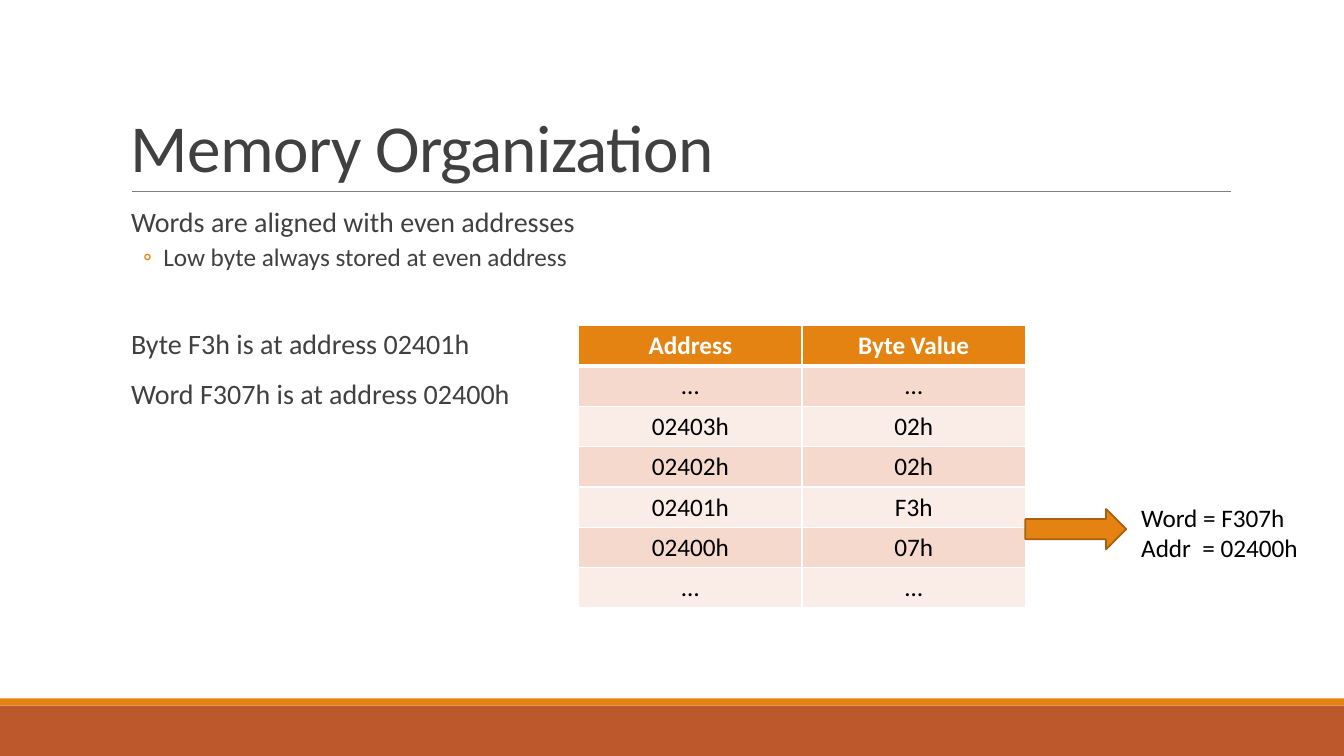
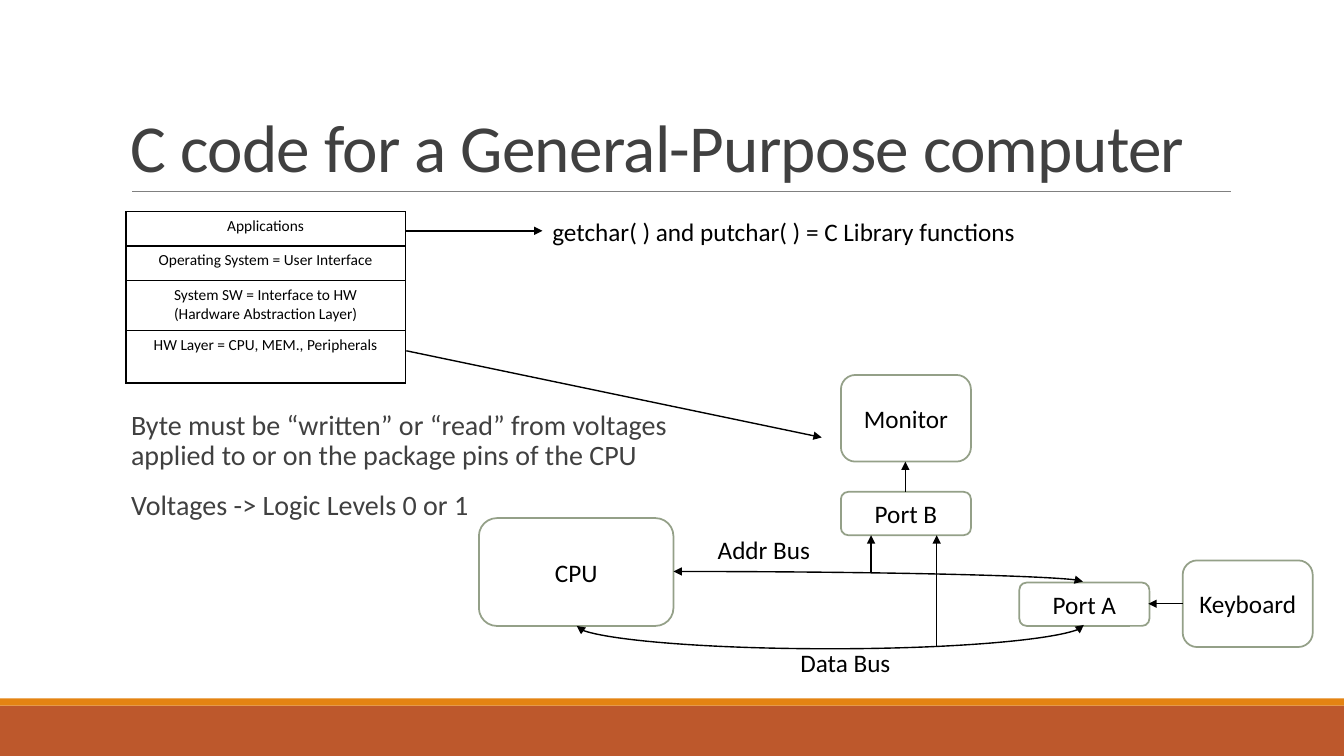
from dataclasses import dataclass
from typing import Optional

from lxml.etree import SubElement
from pptx import Presentation
from pptx.dml.color import RGBColor
from pptx.enum.shapes import MSO_CONNECTOR, MSO_SHAPE
from pptx.enum.text import MSO_ANCHOR, MSO_AUTO_SIZE, PP_ALIGN
from pptx.oxml.ns import qn
from pptx.util import Inches, Pt

FONT = "Calibri"
WHITE, BLACK, GREY, RULE = "FFFFFF", "000000", "404040", "808080"
ORANGE, RUST, ARROW_EDGE, SAGE = "E48312", "BD582C", "A9610D", "94A088"
STRIPES = ("F5D9CC", "FAEDE7")
TOP, LEFT, BOTTOM, RIGHT = range(4)


@dataclass
class Style:
    """Look of a run of text."""
    size: float = 18
    color: str = BLACK
    bold: bool = False
    spacing: int = 0


@dataclass
class BodyLine:
    """One paragraph of body text."""
    text: str
    before: float = 12
    bulleted: bool = False


@dataclass
class Label:
    """A free-standing note; each line is a paragraph."""
    text: str
    left: float
    top: float
    width: float
    height: float = 0.4


@dataclass
class Device:
    """A rounded box of the block diagram."""
    name: str
    left: float
    top: float
    width: float
    height: float


@dataclass
class Curve:
    """A curved bus between two devices, given by its unrotated frame."""
    start: str
    start_site: int
    end: str
    end_site: int
    frame: tuple
    rotation: int
    preset: str
    flipped: bool = False
    bend: Optional[int] = None


def color(value: str) -> RGBColor:
    """Turn a hex string into a colour."""
    return RGBColor.from_string(value)


def add_run(para, text: str, style: Style) -> None:
    """Add one styled run to a paragraph."""
    span = para.add_run()
    span.text = text
    span.font.name, span.font.size = FONT, Pt(style.size)
    span.font.bold = style.bold
    span.font.color.rgb = color(style.color)
    if style.spacing:
        span.font._element.set("spc", str(style.spacing))


def fill_lines(frame, text: str, style: Style, align=PP_ALIGN.LEFT) -> None:
    """Write each line of a text as a paragraph."""
    for index, line in enumerate(text.split("\n")):
        para = frame.add_paragraph() if index else frame.paragraphs[0]
        para.alignment = align
        add_run(para, line, style)


def add_box(page, preset, area: tuple, fill: str, edge: Optional[str] = None):
    """Add a flat preset shape."""
    box = page.shapes.add_shape(preset, *map(Inches, area))
    box.shadow.inherit = False
    box.fill.solid()
    box.fill.fore_color.rgb = color(fill)
    if edge:
        box.line.color.rgb = color(edge)
        box.line.width = Pt(1.25)
    else:
        box.line.fill.background()
    return box


def add_line(page, start: tuple, end: tuple, ink: str = BLACK, width: float = 1,
             heads: tuple = ("tailEnd",), kind=MSO_CONNECTOR.STRAIGHT):
    """Add a connector with arrowheads at the named ends."""
    line = page.shapes.add_connector(kind, *map(Inches, start + end))
    line.line.color.rgb = color(ink)
    line.line.width = Pt(width)
    for head in heads:
        SubElement(line.line._get_or_add_ln(), qn(f"a:{head}"), type="triangle")
    SubElement(line._element.spPr, qn("a:effectLst"))
    return line


def add_curve(page, curve: Curve, boxes: dict) -> None:
    """Join two devices with a curved two-headed arrow."""
    line = add_line(page, (0, 0), (1, 1), heads=("headEnd", "tailEnd"), kind=MSO_CONNECTOR.CURVE)
    line.begin_connect(boxes[curve.start], curve.start_site)
    line.end_connect(boxes[curve.end], curve.end_site)
    line.left, line.top, line.width, line.height = map(Inches, curve.frame)
    frame = line._element.spPr.find(qn("a:xfrm"))
    frame.attrib.clear()
    frame.set("rot", str(curve.rotation * 60000))
    if curve.flipped:
        frame.set("flipV", "1")
    geometry = line._element.spPr.find(qn("a:prstGeom"))
    geometry.set("prst", curve.preset)
    if curve.bend is not None:
        guides = geometry.find(qn("a:avLst"))
        if guides is None:
            guides = SubElement(geometry, qn("a:avLst"))
        SubElement(guides, qn("a:gd"), name="adj1", fmla=f"val {curve.bend}")


def add_label(page, label: Label) -> None:
    """Add an unwrapped note."""
    box = page.shapes.add_textbox(*map(Inches, (label.left, label.top, label.width, label.height)))
    box.text_frame.word_wrap = False
    box.text_frame.auto_size = MSO_AUTO_SIZE.SHAPE_TO_FIT_TEXT
    fill_lines(box.text_frame, label.text, Style())


def add_body(page, top: float, height: float, lines: list) -> None:
    """Add body text with optional bullets."""
    frame = page.shapes.add_textbox(*map(Inches, (1.2, top, 11, height))).text_frame
    frame.word_wrap = True
    frame.margin_left = frame.margin_right = 0
    for index, line in enumerate(lines):
        para = frame.add_paragraph() if index else frame.paragraphs[0]
        para.line_spacing = 0.9
        para.space_before = Pt(line.before)
        para.space_after = Pt(4 if line.bulleted else 2)
        properties = para._p.get_or_add_pPr()
        properties.set("marL", str(Inches(0.42 if line.bulleted else 0.1)))
        if line.bulleted:
            properties.set("indent", str(Inches(-0.2)))
            tint = SubElement(properties, qn("a:buClr"))
            SubElement(tint, qn("a:srgbClr"), val=ORANGE)
            SubElement(properties, qn("a:buFont"), typeface=FONT)
            SubElement(properties, qn("a:buChar"), char="◦")
        style = Style(18 if line.bulleted else 20, GREY)
        for part, text in enumerate(line.text.split("\n")):
            if part:
                para.add_line_break()
            add_run(para, text, style)


def style_cell(cell, text: str, style: Style, fill: Optional[str], edge: str,
               bottom: float = 1) -> None:
    """Write, border and fill a table cell."""
    fill_lines(cell.text_frame, text, style, PP_ALIGN.CENTER)
    properties = cell._tc.get_or_add_tcPr()
    for side, width in (("L", 1), ("R", 1), ("T", 1), ("B", bottom)):
        border = SubElement(properties, qn(f"a:ln{side}"), w=str(Pt(width)))
        solid = SubElement(border, qn("a:solidFill"))
        SubElement(solid, qn("a:srgbClr"), val=edge)
    if fill:
        cell.fill.solid()
        cell.fill.fore_color.rgb = color(fill)
    else:
        cell.fill.background()


def add_grid(page, left: float, top: float, width: float, heights: list, columns: int):
    """Add a table with the given row heights and equal columns."""
    area = (left, top, width, sum(heights))
    table = page.shapes.add_table(len(heights), columns, *map(Inches, area)).table
    for row, height in zip(table.rows, heights):
        row.height = Inches(height)
    return table


def add_page(deck, title: str):
    """Add a slide with the shared bands, rule and title."""
    page = deck.slides.add_slide(deck.slide_layouts[6])
    add_box(page, MSO_SHAPE.RECTANGLE, (0, 7, 13.33, 0.5), RUST)
    add_box(page, MSO_SHAPE.RECTANGLE, (0, 6.93, 13.33, 0.07), ORANGE)
    add_line(page, (1.31, 1.9), (12.21, 1.9), RULE, 0.5, heads=())
    frame = page.shapes.add_textbox(*map(Inches, (1.2, 0.31, 11, 1.59))).text_frame
    frame.word_wrap = True
    frame.vertical_anchor = MSO_ANCHOR.BOTTOM
    frame.paragraphs[0].line_spacing = 0.85
    add_run(frame.paragraphs[0], title, Style(48, GREY, spacing=-50))
    return page


def build_memory(deck) -> None:
    """Build the slide on bytes and words in memory."""
    page = add_page(deck, "Memory Organization")
    add_body(page, 2.02, 4.4, [
        BodyLine("Words are aligned with even addresses"),
        BodyLine("Low byte always stored at even address", 2, True),
        BodyLine("Byte F3h is at address 02401h", 38),
        BodyLine("Word F307h is at address 02400h"),
    ])
    memory = [("Address", "Byte Value"), ("…", "…"), ("02403h", "02h"), ("02402h", "02h"),
              ("02401h", "F3h"), ("02400h", "07h"), ("…", "…")]
    table = add_grid(page, 5.74, 3.23, 4.43, [0.4] * len(memory), 2)
    for row, values in enumerate(memory):
        header = row == 0
        style = Style(color=WHITE, bold=True) if header else Style()
        fill = ORANGE if header else STRIPES[(row - 1) % 2]
        for column, value in enumerate(values):
            style_cell(table.cell(row, column), value, style, fill, WHITE, 3 if header else 1)
    add_box(page, MSO_SHAPE.RIGHT_ARROW, (10.17, 5.05, 1, 0.4), ORANGE, ARROW_EDGE)
    add_label(page, Label("Word = F307h\nAddr  = 02400h", 11.22, 4.93, 1.75, 0.71))


def build_computer(deck) -> None:
    """Build the slide on software layers and hardware buses."""
    page = add_page(deck, "C code for a General-Purpose computer")
    layers = [("Applications", 0.34), ("Operating System = User Interface", 0.34),
              ("System SW = Interface to HW\n(Hardware Abstraction Layer)", 0.5),
              ("HW Layer = CPU, MEM., Peripherals", 0.52)]
    table = add_grid(page, 1.25, 2.1, 2.77, [height for _, height in layers], 1)
    for row, (text, _) in enumerate(layers):
        style_cell(table.cell(row, 0), text, Style(11), None, BLACK)

    boxes = {}
    for device in (Device("CPU", 4.75, 5.14, 1.93, 1.07),
                   Device("Keyboard", 11.73, 5.56, 1.29, 0.86),
                   Device("Monitor", 8.34, 3.72, 1.29, 0.86),
                   Device("Port A", 10.11, 5.78, 1.29, 0.43),
                   Device("Port B", 8.34, 4.88, 1.29, 0.43)):
        area = (device.left, device.top, device.width, device.height)
        box = add_box(page, MSO_SHAPE.ROUNDED_RECTANGLE, area, WHITE, SAGE)
        box.text_frame.vertical_anchor = MSO_ANCHOR.MIDDLE
        box.text_frame.margin_left = box.text_frame.margin_right = Inches(0.05)
        fill_lines(box.text_frame, device.name, Style(), PP_ALIGN.CENTER)
        boxes[device.name] = box

    add_curve(page, Curve("Port A", BOTTOM, "CPU", BOTTOM, (8.23, 3.69, 0.01, 5.03), 90,
                          "curvedConnector3", bend=2400000), boxes)
    add_curve(page, Curve("Port A", TOP, "CPU", RIGHT, (8.66, 3.69, 0.1, 4.06), 270,
                          "curvedConnector2", flipped=True), boxes)
    for start, end in (((11.73, 5.99), (11.39, 5.99)), ((8.98, 4.88), (8.98, 4.58)),
                       ((9.29, 6.42), (9.29, 5.31)), ((8.64, 5.67), (8.64, 5.31)),
                       ((4.03, 3.48), (8.15, 4.34)), ((4.03, 2.29), (5.38, 2.29))):
        add_line(page, start, end)
    for label in (Label("getchar( ) and putchar( ) = C Library functions", 5.38, 2.1, 4.85),
                  Label("Data Bus", 7.84, 6.37, 1.1), Label("Addr Bus", 7.02, 5.25, 1.13)):
        add_label(page, label)
    add_body(page, 4.03, 2.39, [
        BodyLine("Byte must be “written” or “read” from voltages\n"
                 "applied to or on the package pins of the CPU"),
        BodyLine("Voltages -> Logic Levels 0 or 1"),
    ])


def main() -> None:
    """Build and save the deck."""
    deck = Presentation()
    deck.slide_width, deck.slide_height = Inches(13.33), Inches(7.5)
    build_memory(deck)
    build_computer(deck)
    deck.save("out.pptx")


main()
